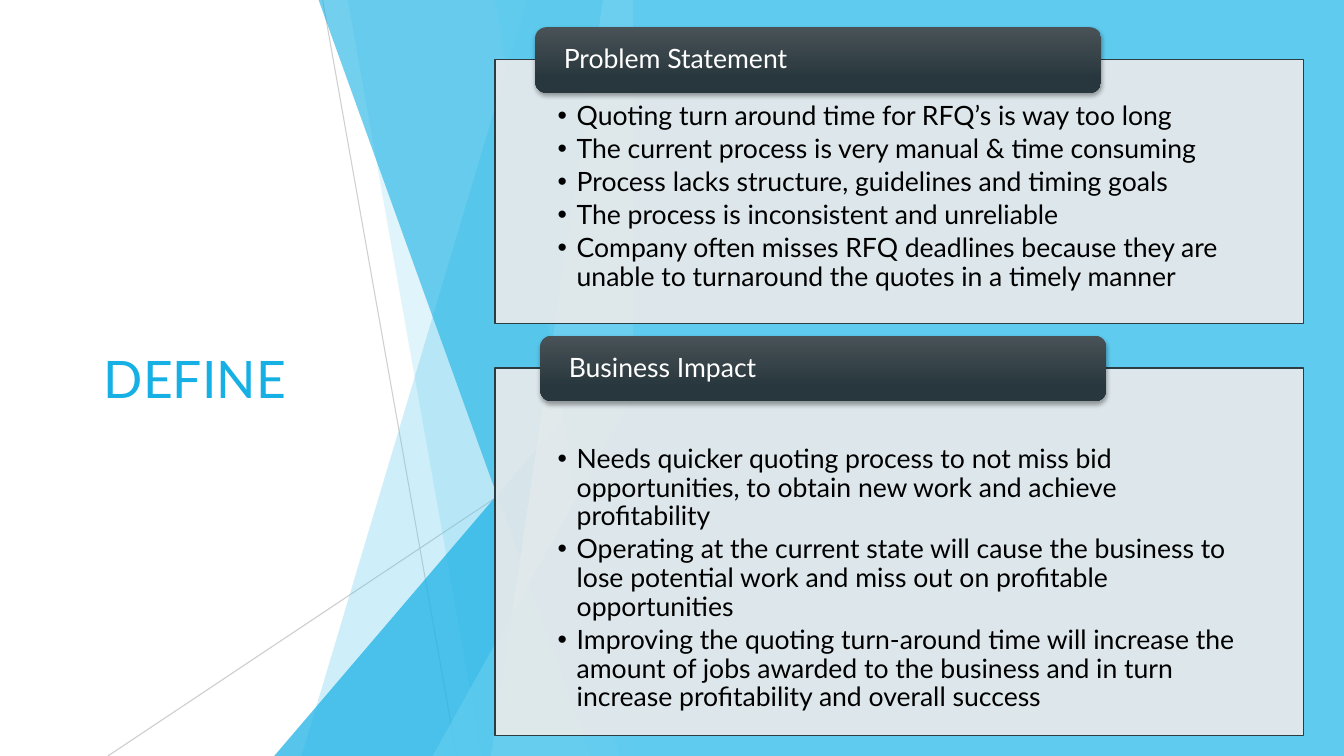
from dataclasses import dataclass
from typing import Union

from lxml.etree import SubElement
from pptx import Presentation
from pptx.dml.color import RGBColor
from pptx.enum.shapes import MSO_CONNECTOR, MSO_SHAPE
from pptx.enum.text import MSO_ANCHOR, MSO_AUTO_SIZE, PP_ALIGN
from pptx.oxml.ns import qn
from pptx.util import Inches, Pt

FONT = "Lato"
SKY = RGBColor(0x5F, 0xCB, 0xEF)
BLUE = RGBColor(0x17, 0xB0, 0xE4)
PALE = RGBColor(0x9F, 0xE0, 0xF5)
GRAY = RGBColor(0xBF, 0xBF, 0xBF)
PANEL = RGBColor(0xEB, 0xEB, 0xEB)
SLATE = RGBColor(0x2C, 0x3C, 0x43)
HEADER_TOP = RGBColor(0x49, 0x52, 0x57)
HEADER_BOTTOM = RGBColor(0x28, 0x37, 0x3D)
BLACK = RGBColor(0, 0, 0)
WHITE = RGBColor(0xFF, 0xFF, 0xFF)

WIDTH, HEIGHT = 13.33, 7.5
SPLIT = 6.28  # where the facets end and the solid blue field begins
PANEL_LEFT, PANEL_WIDTH = 4.91, 8.02


@dataclass
class Ray:
    start: tuple[float, float]
    end: tuple[float, float]
    opacity: int


@dataclass
class Band:
    """Full-height facet with a slanted left edge."""
    top_left: float
    bottom_left: float
    color: RGBColor
    opacity: int


@dataclass
class Wedge:
    """Right triangle standing in the bottom right corner of the facets."""
    left: float
    top: float
    color: RGBColor
    opacity: int


@dataclass
class Section:
    heading: str
    header_left: float
    top: float
    height: float
    text_inset: float
    points: list[str]


RAYS = [
    Ray((3.2, 0), (4.53, HEIGHT), 75),
    Ray((SPLIT, 4.03), (1.07, HEIGHT), 80),
]
FACETS: list[Union[Band, Wedge]] = [
    Band(5.23, 2.99, SKY, 30),
    Band(3.45, 4.78, SKY, 20),
    Wedge(2.72, 3.33, BLUE, 72),
    Band(3.16, 5.86, BLUE, 60),
    Band(5.98, 4.87, PALE, 70),
    Band(4.91, 6.13, SKY, 65),
    Wedge(4.29, 3.93, SKY, 80),
]
SECTIONS = [
    Section("Problem Statement", 5.31, 0.59, 2.62, 0.43, [
        "Quoting turn around time for RFQ’s is way too long",
        "The current process is very manual & time consuming",
        "Process lacks structure, guidelines and timing goals",
        "The process is inconsistent and unreliable",
        "Company often misses RFQ deadlines because they are unable to "
        "turnaround the quotes in a timely manner",
    ]),
    Section("Business Impact", 5.36, 3.65, 3.65, 0.77, [
        "Needs quicker quoting process to not miss bid opportunities, "
        "to obtain new work and achieve profitability",
        "Operating at the current state will cause the business to lose "
        "potential work and miss out on profitable opportunities",
        "Improving the quoting turn-around time will increase the amount of "
        "jobs awarded to the business and in turn increase profitability "
        "and overall success",
    ]),
]


def set_opacity(shape, percent: int, parent: str = "") -> None:
    color = shape._element.spPr.find(f"{parent}{qn('a:solidFill')}/{qn('a:srgbClr')}")
    SubElement(color, qn("a:alpha"), val=str(percent * 1000))


def place(shape, left: float, top: float, width: float, height: float) -> None:
    shape.left, shape.top = Inches(left), Inches(top)
    shape.width, shape.height = Inches(width), Inches(height)


def set_font(paragraph, size: float, color: RGBColor) -> None:
    paragraph.font.name = FONT
    paragraph.font.size = Pt(size)
    paragraph.font.color.rgb = color


def draw_ray(slide, ray: Ray) -> None:
    points = [Inches(value) for value in ray.start + ray.end]
    line = slide.shapes.add_connector(MSO_CONNECTOR.STRAIGHT, *points)
    line.line.color.rgb = GRAY
    line.line.width = Pt(0.75)
    set_opacity(line, ray.opacity, f"{qn('a:ln')}/")
    SubElement(line._element.spPr, qn("a:effectLst"))


def draw_facet(slide, facet: Union[Band, Wedge]) -> None:
    if isinstance(facet, Band):
        corners = [(facet.top_left, 0), (SPLIT, 0), (SPLIT, HEIGHT), (facet.bottom_left, HEIGHT)]
        points = [(Inches(x), Inches(y)) for x, y in corners]
        builder = slide.shapes.build_freeform(*points[0])
        builder.add_line_segments(points[1:], close=True)
        shape = builder.convert_to_shape()
    else:
        shape = slide.shapes.add_shape(
            MSO_SHAPE.ISOSCELES_TRIANGLE, Inches(facet.left), Inches(facet.top),
            Inches(SPLIT - facet.left), Inches(HEIGHT - facet.top))
        shape.adjustments[0] = 1
    shape.fill.solid()
    shape.fill.fore_color.rgb = facet.color
    set_opacity(shape, facet.opacity)
    shape.line.fill.background()
    shape.shadow.inherit = False


def fill_panel(slide, panel, section: Section) -> None:
    slide.shapes._spTree.append(panel._element)  # bring to front
    place(panel, PANEL_LEFT, section.top, PANEL_WIDTH, section.height)
    panel.fill.solid()
    panel.fill.fore_color.rgb = PANEL
    set_opacity(panel, 90)
    panel.line.color.rgb = SLATE
    panel.line.width = Pt(1)

    frame = panel.text_frame
    frame.text = "\n".join(section.points)
    frame.auto_size = MSO_AUTO_SIZE.NONE
    frame.vertical_anchor = MSO_ANCHOR.TOP
    frame.margin_left = frame.margin_right = Inches(0.62)
    frame.margin_top, frame.margin_bottom = Inches(section.text_inset), Inches(0.15)
    for paragraph in frame.paragraphs:
        set_font(paragraph, 19, BLACK)
        paragraph.line_spacing = 0.9
        paragraph.space_before, paragraph.space_after = Pt(0), Pt(3)
        properties = paragraph._p.get_or_add_pPr()
        properties.set("marL", str(Inches(0.19)))
        properties.set("indent", str(-Inches(0.19)))


def draw_header(slide, section: Section) -> None:
    header = slide.shapes.add_shape(
        MSO_SHAPE.ROUNDED_RECTANGLE, Inches(section.header_left),
        Inches(section.top - 0.32), Inches(5.61), Inches(0.65))
    header.fill.gradient()
    header.fill.gradient_angle = 270
    stops = header.fill.gradient_stops
    for stop, color, position in zip(stops, (HEADER_TOP, HEADER_BOTTOM), (0, 0.78)):
        stop.color.rgb, stop.position = color, position
    header.line.fill.background()

    # Soft shadow below the header
    effects = SubElement(header._element.spPr, qn("a:effectLst"))
    shadow = SubElement(effects, qn("a:outerShdw"), blurRad=str(Pt(3)), dist=str(Pt(2)),
                        dir="5400000", rotWithShape="0")
    color = SubElement(shadow, qn("a:srgbClr"), val=str(BLACK))
    SubElement(color, qn("a:alpha"), val="35000")

    frame = header.text_frame
    frame.text = section.heading
    frame.vertical_anchor = MSO_ANCHOR.MIDDLE
    frame.margin_left = frame.margin_right = Inches(0.25)
    frame.margin_top = frame.margin_bottom = 0
    paragraph = frame.paragraphs[0]
    paragraph.alignment = PP_ALIGN.LEFT
    paragraph.line_spacing = 0.9
    set_font(paragraph, 19, WHITE)


def main() -> None:
    presentation = Presentation()
    presentation.slide_width, presentation.slide_height = Inches(WIDTH), Inches(HEIGHT)
    slide = presentation.slides.add_slide(presentation.slide_layouts.get_by_name("Two Content"))
    title, *panels = slide.placeholders

    # Faceted backdrop
    for ray in RAYS:
        draw_ray(slide, ray)
    for facet in FACETS:
        draw_facet(slide, facet)

    # Title
    slide.shapes._spTree.append(title._element)
    place(title, 0.93, 3.41, 2.44, 0.68)
    title.text_frame.text = "DEFINE"
    title.text_frame.auto_size = MSO_AUTO_SIZE.NONE
    title.text_frame.vertical_anchor = MSO_ANCHOR.MIDDLE
    title.text_frame.paragraphs[0].alignment = PP_ALIGN.LEFT
    set_font(title.text_frame.paragraphs[0], 36.9, BLUE)

    # Blue field on the right
    field = slide.shapes.add_shape(
        MSO_SHAPE.RECTANGLE, Inches(SPLIT), 0, Inches(WIDTH - SPLIT), Inches(HEIGHT))
    field.fill.solid()
    field.fill.fore_color.rgb = SKY
    field.line.fill.background()
    field.shadow.inherit = False

    # Sections
    for panel, section in zip(panels, SECTIONS):
        fill_panel(slide, panel, section)
        draw_header(slide, section)

    presentation.save("out.pptx")


if __name__ == "__main__":
    main()
